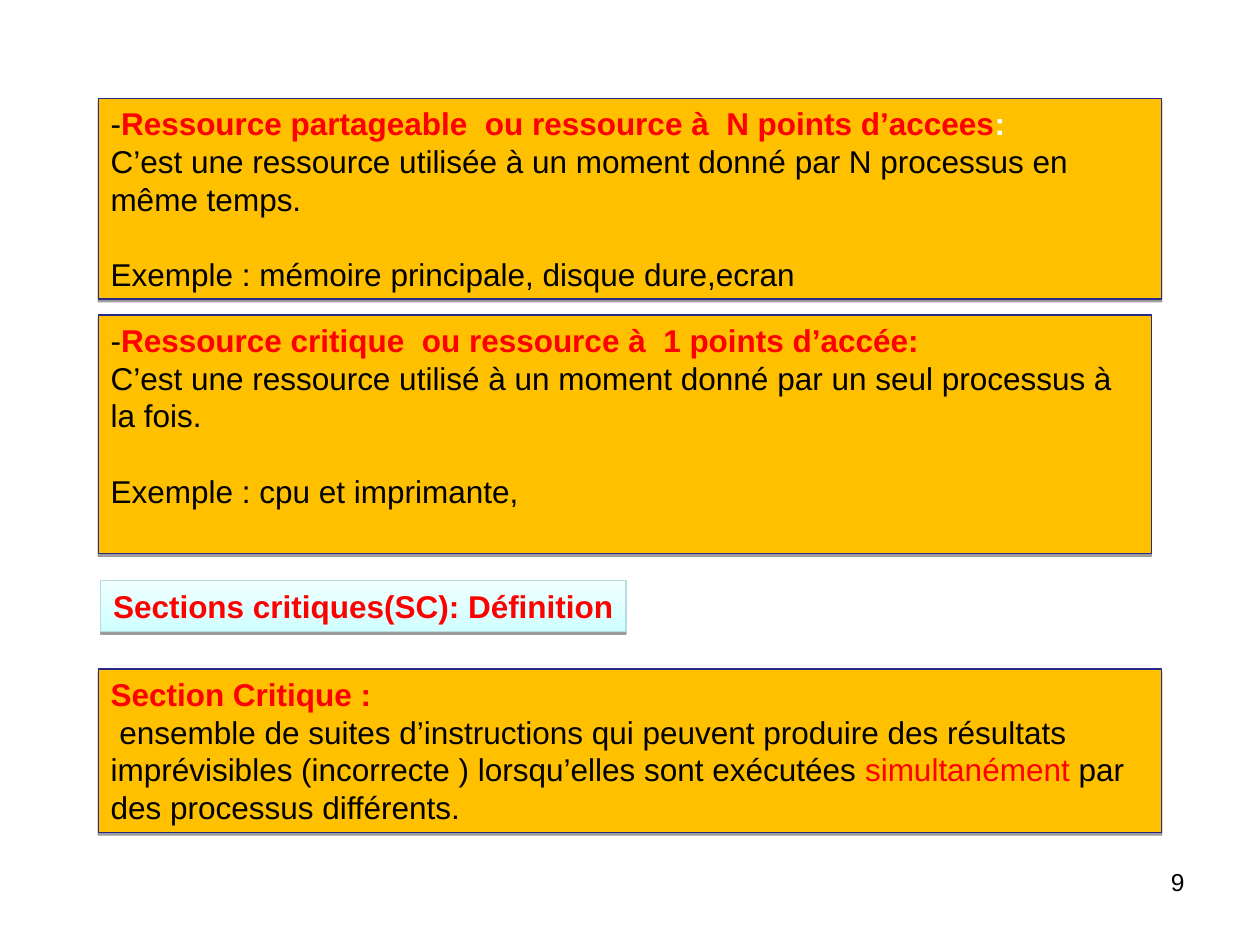
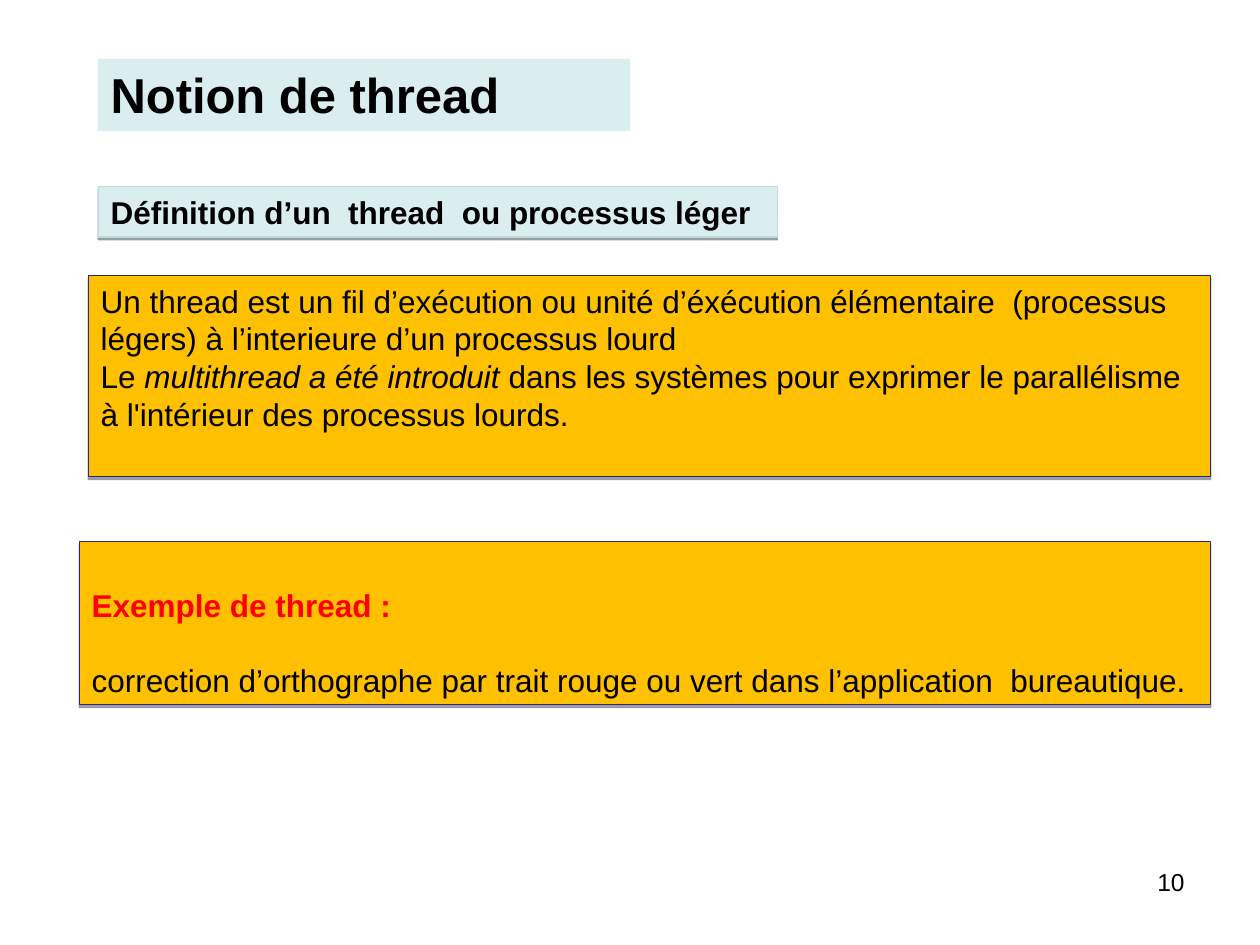
from dataclasses import dataclass

from lxml import etree
from pptx import Presentation
from pptx.dml.color import RGBColor
from pptx.enum.shapes import MSO_SHAPE
from pptx.enum.text import MSO_ANCHOR, PP_ALIGN
from pptx.oxml.ns import qn
from pptx.util import Cm, Pt

RECT = MSO_SHAPE.RECTANGLE
TOP, BOTTOM = MSO_ANCHOR.TOP, MSO_ANCHOR.BOTTOM
LEFT, RIGHT = PP_ALIGN.LEFT, PP_ALIGN.RIGHT


@dataclass(frozen=True)
class Theme:
    font: str = "Arial"
    title: int = 28
    body: int = 18
    small: int = 14
    lead: float = 1.195
    ink: str = "000000"
    red: str = "FF0000"
    white: str = "FFFFFF"
    gold: str = "FFC000"
    navy: str = "292989"
    pale: str = "DAEDEF"
    edge: str = "B6DCDF"
    glow: tuple = ("CFFFFF", "F0FFFF")


def rgb(code):
    return RGBColor.from_string(code)


class Deck:
    def __init__(self, theme):
        self.theme = theme
        self.prs = Presentation()
        self.prs.slide_width, self.prs.slide_height = Cm(25.4), Cm(19.05)
        self.slide = None

    def page(self, number):
        self.slide = self.prs.slides.add_slide(self.prs.slide_layouts[6])
        box = self.slide.shapes.add_textbox(Cm(18.21), Cm(17.35), Cm(5.92), Cm(1.32))
        self.fill_text(box, [str(number)], self.theme.small, align=RIGHT)

    def shade(self, shape):
        effects = etree.SubElement(shape._element.spPr, qn("a:effectLst"))
        shadow = etree.SubElement(effects, qn("a:outerShdw"), blurRad="0",
                                  dist=str(Pt(1.6)), dir="5400000", rotWithShape="0")
        color = etree.SubElement(shadow, qn("a:srgbClr"), val=self.theme.ink)
        etree.SubElement(color, qn("a:alpha"), val="38000")

    def block(self, left, top, width, height, fill, edge=None):
        shape = self.slide.shapes.add_shape(RECT, Cm(left), Cm(top), Cm(width), Cm(height))
        if isinstance(fill, tuple):
            shape.fill.gradient()
            shape.fill.gradient_angle = 90
            for stop, code in zip(shape.fill.gradient_stops, fill):
                stop.color.rgb = rgb(code)
        else:
            shape.fill.solid()
            shape.fill.fore_color.rgb = rgb(fill)
        if edge:
            shape.line.color.rgb = rgb(edge)
            shape.line.width = Pt(0.75)
            self.shade(shape)
        else:
            shape.line.fill.background()
            shape.shadow.inherit = False
        return shape

    def fill_text(self, shape, lines, size, color=None, bold=False, align=LEFT,
                  anchor=TOP, wrap=True, gap=None):
        frame = shape.text_frame
        frame.word_wrap = wrap
        frame.vertical_anchor = anchor
        for i, line in enumerate(lines):
            para = frame.paragraphs[0] if i == 0 else frame.add_paragraph()
            para.alignment = align
            para.line_spacing = Pt(size * self.theme.lead)
            if i == gap:
                para.space_before = Pt(size * self.theme.lead)
            font = para.font
            font.name, font.size, font.bold = self.theme.font, Pt(size), bold
            font.color.rgb = rgb(color or self.theme.ink)
            for part in [line] if isinstance(line, str) else line:
                text, look = (part, {}) if isinstance(part, str) else part
                run = para.add_run()
                run.text = text
                if "color" in look:
                    run.font.color.rgb = rgb(look["color"])
                if "bold" in look:
                    run.font.bold = look["bold"]
                if "italic" in look:
                    run.font.italic = look["italic"]

    def panel(self, left, top, width, rows, lines, **style):
        shape = self.block(left, top, width, rows * 0.76 + 0.25,
                           self.theme.gold, self.theme.navy)
        self.fill_text(shape, lines, self.theme.body, **style)

    def label(self, left, top, width, text, fill, **style):
        shape = self.block(left, top, width, 1.02, fill, self.theme.edge)
        self.fill_text(shape, [text], self.theme.body, bold=True, **style)

    def title(self, text):
        shape = self.block(1.98, 1.19, 10.72, 1.45, self.theme.pale)
        self.fill_text(shape, [text], self.theme.title, bold=True)


def main():
    theme = Theme()
    deck = Deck(theme)
    alert = {"color": theme.red, "bold": True}

    deck.page(9)
    deck.panel(1.98, 13.49, 21.44, 4, [
        [("Section Critique :", alert)],
        [" ensemble de suites d’instructions qui peuvent produire des résultats "
         "imprévisibles (incorrecte ) lorsqu’elles sont exécutées",
         (" simultanément ", {"color": theme.red}),
         "par des processus différents."],
    ])
    deck.label(2.03, 11.71, 10.59, "Sections critiques(SC): Définition",
               theme.glow, color=theme.red, wrap=False)
    deck.panel(1.98, 1.98, 21.44, 5, [
        ["-", ("Ressource partageable  ou ressource à  N points d’accees", alert),
         (":", {"color": theme.white, "bold": True})],
        "C’est une ressource utilisée à un moment donné par N processus en même temps.",
        "Exemple : mémoire principale, disque dure,ecran",
    ], gap=2)
    deck.panel(1.98, 6.35, 21.23, 6, [
        ["-", ("Ressource critique  ou ressource à  1 points d’accée:", alert)],
        "C’est une ressource utilisé à un moment donné par un seul processus à la fois.",
        "Exemple : cpu et imprimante,",
    ], gap=2)

    deck.page(10)
    deck.panel(1.78, 5.56, 22.63, 5, [
        "Un thread est un fil d’exécution ou unité d’éxécution élémentaire  "
        "(processus légers) à l’interieure d’un processus lourd",
        ["Le ", ("multithread a été introduit ", {"italic": True}),
         "dans les systèmes pour exprimer le parallélisme à l'intérieur "
         "des processus lourds."],
    ])
    deck.label(1.98, 3.76, 13.69, "Définition d’un  thread  ou processus léger", theme.pale)
    deck.title("Notion de thread")
    deck.panel(1.6, 10.92, 22.81, 4, [
        [("Exemple de thread :", alert)],
        "correction d’orthographe par trait rouge ou vert dans l’application  bureautique.",
    ], anchor=BOTTOM, gap=1)

    deck.prs.save("out.pptx")


if __name__ == "__main__":
    main()
